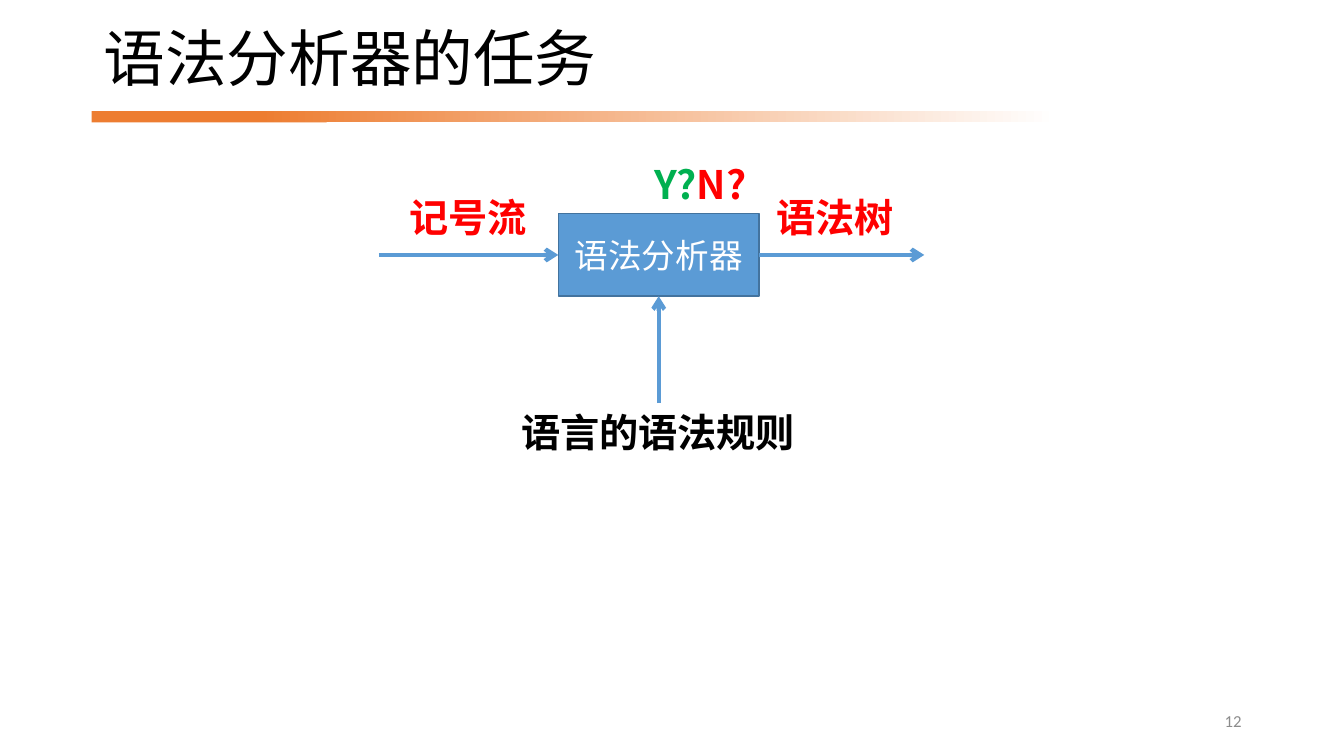
from lxml import etree
from pptx import Presentation
from pptx.dml.color import RGBColor
from pptx.enum.shapes import MSO_CONNECTOR, MSO_SHAPE
from pptx.enum.text import MSO_ANCHOR, PP_ALIGN
from pptx.oxml.ns import qn
from pptx.util import Pt

RECTANGLE = MSO_SHAPE.RECTANGLE
STRAIGHT = MSO_CONNECTOR.STRAIGHT
TOP, MIDDLE = MSO_ANCHOR.TOP, MSO_ANCHOR.MIDDLE
LEFT, CENTER, RIGHT = PP_ALIGN.LEFT, PP_ALIGN.CENTER, PP_ALIGN.RIGHT
LEFT_SIDE, BOTTOM_SIDE, RIGHT_SIDE = 1, 2, 3

ORANGE = RGBColor(0xED, 0x7D, 0x31)
WHITE = RGBColor(0xFF, 0xFF, 0xFF)
BLACK = RGBColor(0x00, 0x00, 0x00)
GRAY = RGBColor(0x8C, 0x8C, 0x8C)
BLUE = RGBColor(0x5B, 0x9B, 0xD5)
DARK_BLUE = RGBColor(0x43, 0x73, 0x9E)
RED = RGBColor(0xFF, 0x00, 0x00)
GREEN = RGBColor(0x00, 0xB0, 0x50)

CHINESE_FONT = "Noto Sans CJK SC"
TITLE_FORMAT = {"name": "Arial", "size": Pt(44)}
NUMBER_FORMAT = {"name": "Calibri", "size": Pt(12)}
BOX_FORMAT = {"name": CHINESE_FONT, "size": Pt(24)}
LABEL_FORMAT = {"name": CHINESE_FONT, "size": Pt(28), "bold": True}


def write_runs(shape, runs, text_format, alignment, anchor, wrap=True, line_spacing=None):
    frame = shape.text_frame
    frame.word_wrap = wrap
    frame.vertical_anchor = anchor
    paragraph = frame.paragraphs[0]
    paragraph.alignment = alignment
    paragraph.line_spacing = line_spacing
    for text, color in runs:
        run = paragraph.add_run()
        run.text = text
        for name, value in text_format.items():
            setattr(run.font, name, value)
        run.font.color.rgb = color
        properties = run.font._element
        etree.SubElement(properties, qn("a:ea"), typeface=CHINESE_FONT)


def add_text(slide, position, runs, text_format, alignment=CENTER, anchor=TOP, **options):
    shape = slide.shapes.add_textbox(*map(Pt, position))
    write_runs(shape, runs, text_format, alignment, anchor, **options)


def add_rectangle(slide, position):
    shape = slide.shapes.add_shape(RECTANGLE, *map(Pt, position))
    shape.shadow.inherit = False
    return shape


def add_title_rule(slide):
    solid_bar = add_rectangle(slide, (65.5, 79.4, 167.8, 8))
    solid_bar.fill.solid()
    solid_bar.fill.fore_color.rgb = ORANGE
    fading_bar = add_rectangle(slide, (185, 79.4, 570.2, 8))
    fading_bar.fill.gradient()
    fading_bar.fill.gradient_angle = 0
    for stop, color in zip(fading_bar.fill.gradient_stops, (ORANGE, WHITE)):
        stop.color.rgb = color
    for bar in (solid_bar, fading_bar):
        bar.line.fill.background()


def add_parser_box(slide):
    box = add_rectangle(slide, (398.8, 152.6, 143.4, 59))
    box.fill.solid()
    box.fill.fore_color.rgb = BLUE
    box.line.color.rgb = DARK_BLUE
    box.line.width = Pt(1)
    write_runs(box, [("语法分析器", WHITE)], BOX_FORMAT, CENTER, MIDDLE)
    return box


def add_arrow(slide, start, end):
    arrow = slide.shapes.add_connector(STRAIGHT, *map(Pt, start + end))
    arrow.line.color.rgb = BLUE
    arrow.line.width = Pt(3)
    line = arrow.line._get_or_add_ln()
    etree.SubElement(line, qn("a:tailEnd"), type="arrow")
    etree.SubElement(arrow._element.spPr, qn("a:effectLst"))
    return arrow


def main():
    presentation = Presentation()
    presentation.slide_width = Pt(960)
    presentation.slide_height = Pt(540)
    slide = presentation.slides.add_slide(presentation.slide_layouts[6])

    add_title_rule(slide)
    add_text(slide, (67, 12.2, 802, 64), [("语法分析器的任务", BLACK)], TITLE_FORMAT,
             LEFT, MIDDLE, line_spacing=0.9)
    add_text(slide, (678, 500.5, 216, 28.8), [("12", GRAY)], NUMBER_FORMAT, RIGHT, MIDDLE)

    box = add_parser_box(slide)
    add_arrow(slide, (270.7, 182.1), (398.8, 182.1)).end_connect(box, LEFT_SIDE)
    add_arrow(slide, (542.2, 182.1), (660.2, 182.1)).begin_connect(box, RIGHT_SIDE)
    add_arrow(slide, (470.5, 288), (470.5, 211.6)).end_connect(box, BOTTOM_SIDE)

    add_text(slide, (280.1, 134.6, 108.7, 41), [("记号流", RED)], LABEL_FORMAT)
    add_text(slide, (542.2, 134.6, 108.7, 41), [("语法树", RED)], LABEL_FORMAT)
    add_text(slide, (361.4, 288, 217.4, 41), [("语言的语法规则", BLACK)], LABEL_FORMAT)
    add_text(slide, (458.6, 110.9, 83.5, 41), [("Y?", GREEN), ("N?", RED)], LABEL_FORMAT,
             wrap=False)

    presentation.save("out.pptx")


if __name__ == "__main__":
    main()
